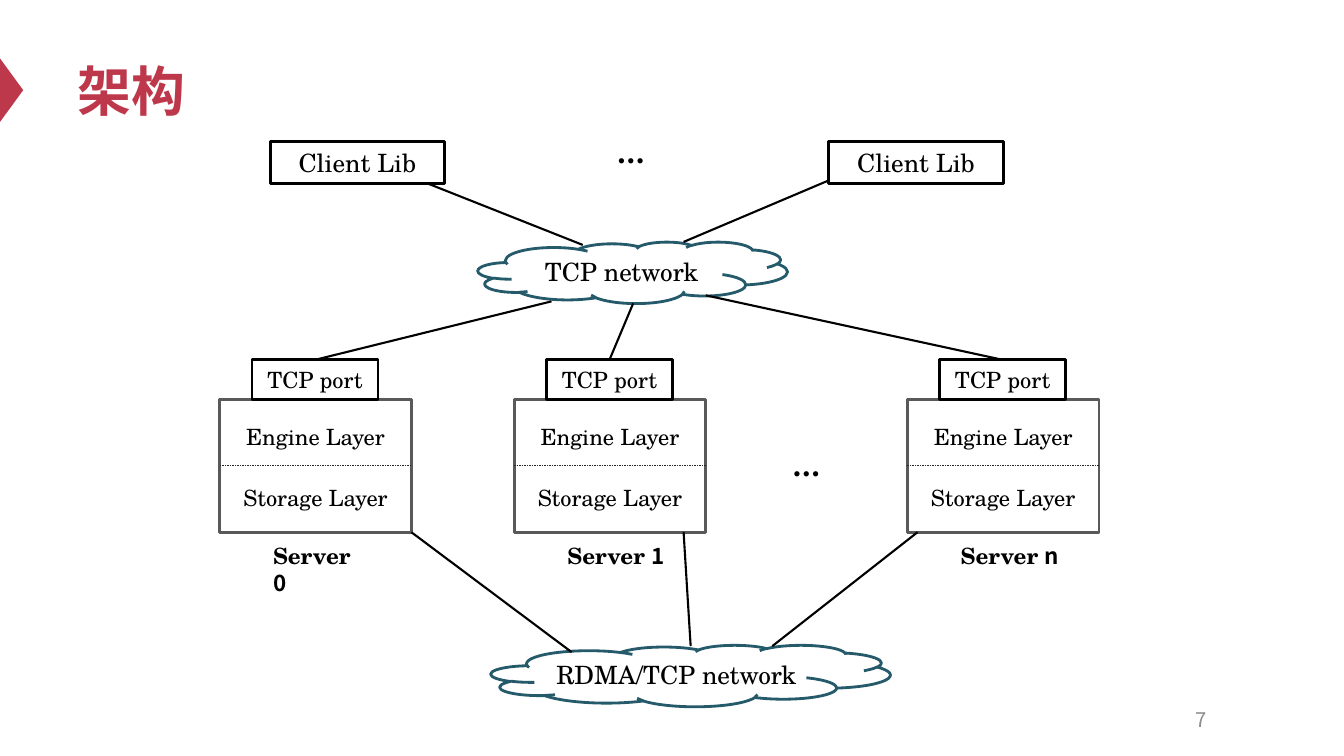
from pptx import Presentation
from pptx.dml.color import RGBColor
from pptx.enum.dml import MSO_LINE
from pptx.enum.shapes import MSO_CONNECTOR, MSO_SHAPE
from pptx.enum.text import MSO_ANCHOR, PP_ALIGN
from pptx.oxml.ns import qn
from pptx.util import Pt

PX = 9144  # 100 px to the inch
RED = RGBColor(0xBE, 0x38, 0x4B)
TEAL = RGBColor(0x25, 0x5A, 0x6A)
BLACK = RGBColor(0, 0, 0)
WHITE = RGBColor(0xFF, 0xFF, 0xFF)
EDGE = RGBColor(0x59, 0x59, 0x59)
DARK = RGBColor(0x26, 0x26, 0x26)
GRAY = RGBColor(0x8C, 0x8C, 0x8C)
SERIF = "TeX Gyre Schola"
SANS = "Noto Sans CJK SC"


def scale(*nums):
    return [n * PX for n in nums]


def write(shape, runs, size, color=BLACK, bold=False,
          align=PP_ALIGN.CENTER, anchor=MSO_ANCHOR.MIDDLE):
    """Fill a shape with one line made of (text, font) runs."""
    frame = shape.text_frame
    frame.word_wrap = True
    frame.vertical_anchor = anchor
    line = frame.paragraphs[0]
    line.alignment = align
    for text, name in runs:
        run = line.add_run()
        run.text = text
        font = run.font
        font.name, font.size, font.bold = name, Pt(size), bold
        font.color.rgb = color
        east = run._r.get_or_add_rPr().makeelement(qn("a:ea"), {"typeface": SANS})
        font._element.find(qn("a:latin")).addnext(east)


def label(slide, box, runs, size, **style):
    text = slide.shapes.add_textbox(*scale(*box))
    write(text, runs, size, **style)


def draw(slide, kind, box, line=None, fill=None):
    shape = slide.shapes.add_shape(kind, *scale(*box))
    shape.shadow.inherit = False
    if fill is None:
        shape.fill.background()
    else:
        shape.fill.solid()
        shape.fill.fore_color.rgb = fill
    if line is None:
        shape.line.fill.background()
    else:
        shape.line.color.rgb = line
        shape.line.width = Pt(2)
    return shape


def link(slide, start, end, color=BLACK, width=1.5):
    wire = slide.shapes.add_connector(MSO_CONNECTOR.STRAIGHT, *scale(*start, *end))
    wire.line.color.rgb = color
    wire.line.width = Pt(width)
    props = wire._element.spPr
    props.append(props.makeelement(qn("a:effectLst"), {}))
    return wire


def node(slide, box, text, size):
    shape = draw(slide, MSO_SHAPE.RECTANGLE, box, BLACK)
    write(shape, [(text, SERIF)], size)
    return shape


def cloud(slide, box, text):
    shape = draw(slide, MSO_SHAPE.CLOUD, box, TEAL, WHITE)
    write(shape, [(text, SERIF)], 18)


def dots(slide, x, y):
    label(slide, (x, y, 48, 44), [("…", SERIF)], 20, bold=True,
          align=PP_ALIGN.LEFT, anchor=MSO_ANCHOR.TOP)


def server(slide, box, mark, room):
    """Draw one server with its two layers and name; return its port."""
    x, y, w, h = box
    mid = y + h // 2
    frame = draw(slide, MSO_SHAPE.RECTANGLE, box, EDGE)
    split = link(slide, (x, mid), (x + w, mid), DARK, 0.25)
    split.line.dash_style = MSO_LINE.DASH
    split.begin_connect(frame, 1)
    split.end_connect(frame, 3)
    for name, top in (("Engine Layer", 19), ("Storage Layer", 79)):
        label(slide, (x, y + top, w, 37), [(name, SERIF)], 16,
              anchor=MSO_ANCHOR.TOP)
    label(slide, (x + 43, y + h + 5, room, 37), [("Server ", SERIF), (mark, SANS)],
          16, bold=True, align=PP_ALIGN.LEFT, anchor=MSO_ANCHOR.TOP)
    return node(slide, (x + 32, y - 39, 125, 39), "TCP port", 16)


def heading(slide, box):
    x, y, w, h = box
    flag = draw(slide, MSO_SHAPE.ISOSCELES_TRIANGLE, (-20, y + 48, 63, 23), fill=RED)
    flag.rotation = 90
    label(slide, box, [("架构", "Calibri")], 38.4, color=RED, bold=True,
          align=PP_ALIGN.LEFT)


def clients(slide, box):
    x, y, w, h = box
    for left in (x, x + w - 173):
        node(slide, (left, y, 173, h), "Client Lib", 18)
    dots(slide, x + 334, y - 10)


def servers(slide, box):
    x, y, w, h = box
    ports = [server(slide, (x + left, y, 190, h), mark, room)
             for left, mark, room in ((0, "0", 102), (292, "1", 118), (682, "n", 118))]
    dots(slide, x + 558, y + 44)
    return ports


def links(slide, ports):
    for start, end in (((424, 182), (578, 243)), ((822, 179), (678, 240)),
                       ((408, 528), (567, 647)), ((678, 528), (685, 641)),
                       ((910, 528), (766, 641))):
        link(slide, start, end)
    for start, port in zip(((547, 299), (628, 301), (700, 293)), ports):
        link(slide, start, start).end_connect(port, 0)


def main():
    deck = Presentation()
    deck.slide_width, deck.slide_height = scale(1333, 750)
    slide = deck.slides.add_slide(deck.slide_layouts[6])
    heading(slide, (67, 30, 341, 118))
    clients(slide, (268, 140, 727, 42))
    cloud(slide, (474, 240, 307, 61), "TCP network")
    ports = servers(slide, (218, 396, 872, 132))
    cloud(slide, (487, 640, 396, 61), "RDMA/TCP network")
    links(slide, ports)
    label(slide, (927, 694, 280, 40), [("7", SANS)], 14.4, color=GRAY,
          align=PP_ALIGN.RIGHT)
    deck.save("out.pptx")


if __name__ == "__main__":
    main()
